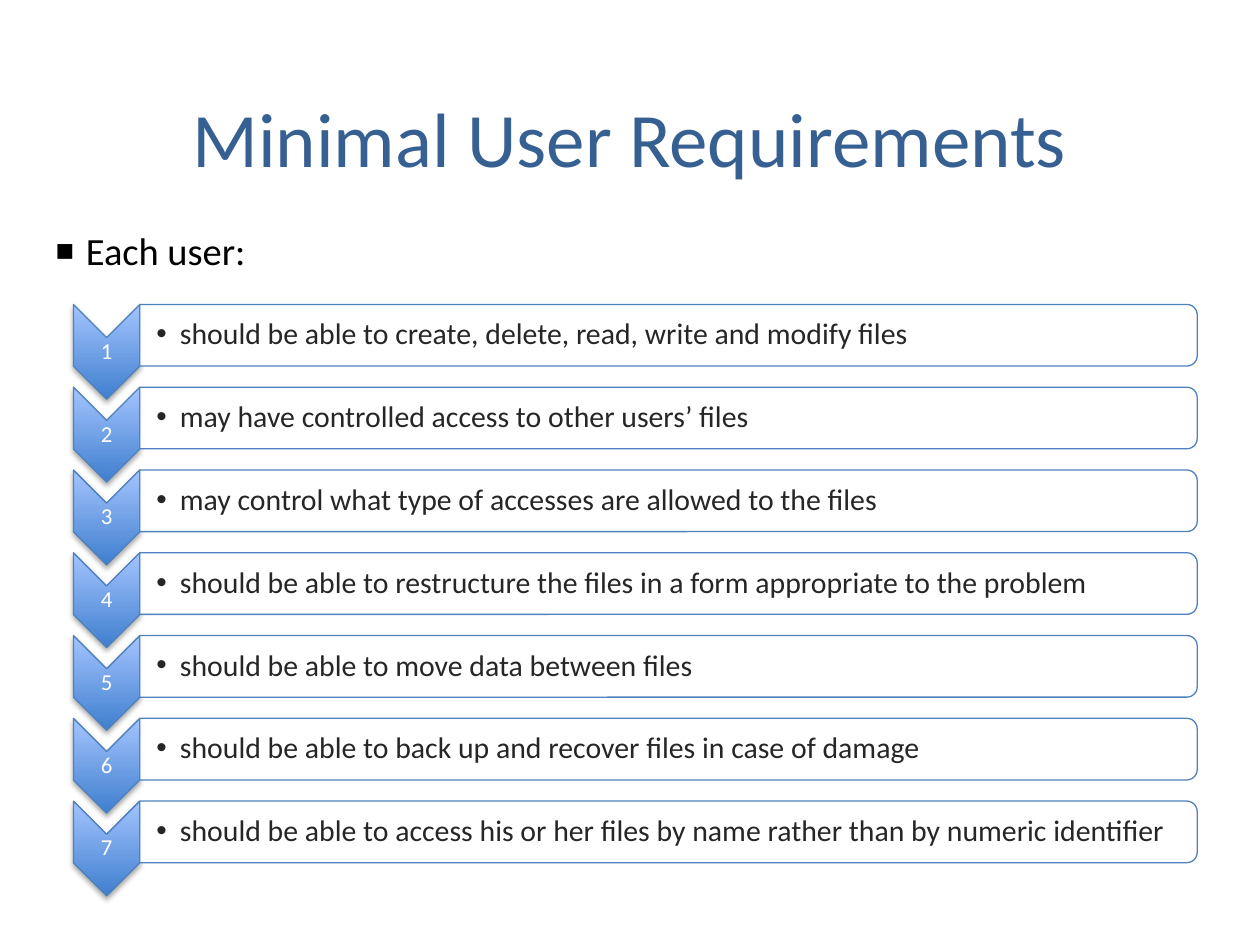
from lxml import etree
from pptx import Presentation
from pptx.dml.color import RGBColor
from pptx.enum.shapes import MSO_SHAPE as SHAPE
from pptx.enum.text import MSO_ANCHOR as ANCHOR, PP_ALIGN as ALIGN
from pptx.oxml import parse_xml
from pptx.oxml.ns import nsdecls, qn
from pptx.util import Pt

COLORS = {
    "title": "376092", "body": "000000", "item": "262626", "white": "FFFFFF",
    "outline": "4F81BD", "dark": "3F7FCE", "light": "A4C4FF",
}
COLORS = {key: RGBColor.from_string(value) for key, value in COLORS.items()}

REQUIREMENTS = [
    "should be able to create, delete, read, write and modify files",
    "may have controlled access to other users’ files",
    "may control what type of accesses are allowed to the files",
    "should be able to restructure the files in a form appropriate to the problem",
    "should be able to move data between files",
    "should be able to back up and recover files in case of damage",
    "should be able to access his or her files by name rather than by numeric identifier",
]

SHADOW = (
    f'<a:effectLst {nsdecls("a")}><a:outerShdw blurRad="40000" dist="23000" '
    'dir="5400000" rotWithShape="0"><a:srgbClr val="000000">'
    '<a:alpha val="35000"/></a:srgbClr></a:outerShdw></a:effectLst>'
)


def add_text(text, box, size, color, frame_format, align=ALIGN.LEFT,
             spacing=None, bullet=None):
    """Add a one-paragraph text box; bullet is (character, indent, percent)."""
    frame = slide.shapes.add_textbox(*map(Pt, box)).text_frame
    for name, value in {"word_wrap": True, **frame_format}.items():
        setattr(frame, name, value)
    paragraph = frame.paragraphs[0]
    paragraph.alignment, paragraph.line_spacing = align, spacing
    if bullet:
        character, indent, percent = bullet
        properties = paragraph._p.get_or_add_pPr()
        properties.set("marL", str(Pt(indent)))
        properties.set("indent", str(-Pt(indent)))
        for tag, key, value in (("a:buSzPct", "val", str(percent * 1000)),
                                ("a:buFont", "typeface", "Arial"),
                                ("a:buChar", "char", character)):
            etree.SubElement(properties, qn(tag)).set(key, value)
    run = paragraph.add_run()
    run.text = text
    run.font.name, run.font.size = "Calibri", Pt(size)
    run.font.color.rgb = COLORS[color]


def add_turned(kind, center_x, center_y, width, height):
    """Add an outlined shape turned a quarter; width and height are before the turn."""
    shape = slide.shapes.add_shape(
        kind, Pt(center_x - width / 2), Pt(center_y - height / 2), Pt(width), Pt(height))
    shape.rotation = 90
    shape.shadow.inherit = False
    shape.line.color.rgb = COLORS["outline"]
    shape.line.width = Pt(0.75)
    return shape


deck = Presentation()
deck.slide_width, deck.slide_height = Pt(720), Pt(540)
slide = deck.slides.add_slide(deck.slide_layouts[6])

add_text("Minimal User Requirements", (0, 36, 720, 84), 44, "title",
         {"vertical_anchor": ANCHOR.MIDDLE}, ALIGN.CENTER)
add_text("Each user:", (24, 126, 636, 48), 22, "body", {}, bullet=("▪", 18, 155))

STEP = 47.3
CHEVRON_X, CHEVRON_Y, CHEVRON_LENGTH, CHEVRON_WIDTH = 60.9, 201.1, 54.2, 37.94
BAR_LEFT, BAR_Y, BAR_WIDTH, BAR_HEIGHT = 79.9, 191.6, 604.2, 35.2
tight = {"vertical_anchor": ANCHOR.MIDDLE}
for side in ("left", "right", "top", "bottom"):
    tight[f"margin_{side}"] = Pt(0.7)

for index, requirement in enumerate(REQUIREMENTS):
    chevron_y = CHEVRON_Y + index * STEP
    bar_y = BAR_Y + index * STEP

    chevron = add_turned(SHAPE.CHEVRON, CHEVRON_X, chevron_y, CHEVRON_LENGTH, CHEVRON_WIDTH)
    chevron.fill.gradient()
    chevron.fill.gradient_angle = 90
    for stop, shade in zip(chevron.fill.gradient_stops, ("dark", "light")):
        stop.color.rgb = COLORS[shade]
    properties = chevron._element.spPr
    properties.find(qn("a:gradFill")).set("rotWithShape", "0")
    properties.replace(properties.find(qn("a:effectLst")), parse_xml(SHADOW))
    add_text(str(index + 1), (CHEVRON_X - CHEVRON_WIDTH / 2, chevron_y - 8, CHEVRON_WIDTH, 16),
             13, "white", tight, ALIGN.CENTER, 0.9)

    bar = add_turned(SHAPE.ROUND_2_SAME_RECTANGLE, BAR_LEFT + BAR_WIDTH / 2, bar_y,
                     BAR_HEIGHT, BAR_WIDTH)
    bar.fill.solid()
    bar.fill.fore_color.rgb = COLORS["white"]
    white = bar._element.spPr.find(qn("a:solidFill")).find(qn("a:srgbClr"))
    etree.SubElement(white, qn("a:alpha")).set("val", "90000")
    add_text(requirement, (BAR_LEFT, bar_y - 16, BAR_WIDTH - 1.5, 32), 17, "item",
             {**tight, "margin_left": Pt(9.4)}, spacing=0.9, bullet=("•", 13.5, 100))

deck.save("out.pptx")
